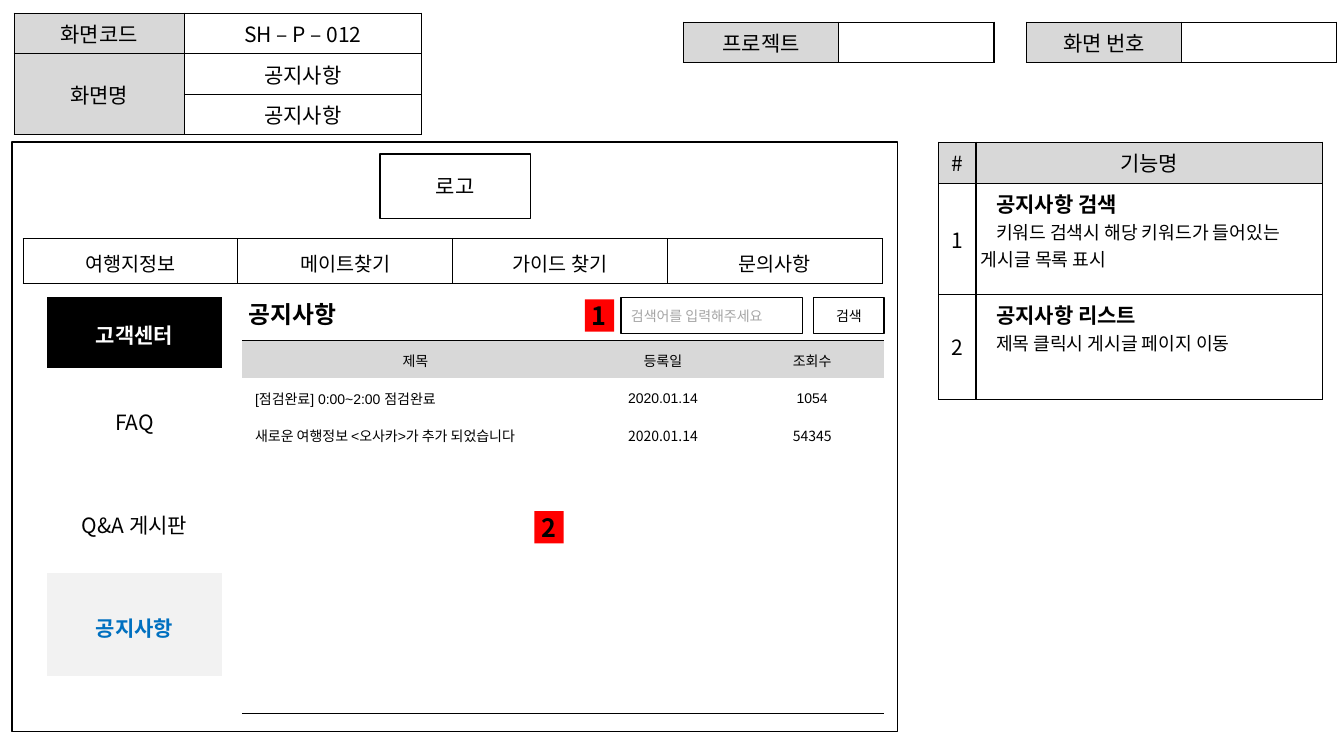
from dataclasses import dataclass

from lxml import etree
from pptx import Presentation
from pptx import util as u
from pptx.dml.color import RGBColor
from pptx.enum import shapes, text
from pptx.oxml.ns import qn


@dataclass(frozen=True)
class Theme:
    font: str = "Noto Sans CJK KR"
    latin: str = "Arial"
    ink: str = "000000"
    paper: str = "FFFFFF"
    label: str = "D8D8D8"
    selected: str = "F2F2F2"
    accent: str = "0070C0"
    badge: str = "FF0000"
    hint: str = "A5A5A5"
    small: int = 10
    note: int = 13
    nav: int = 14
    body: int = 15
    title: int = 17
    marker: int = 18


T = Theme()
CENTER, LEFT = text.PP_ALIGN.CENTER, text.PP_ALIGN.LEFT
TOP, MIDDLE = text.MSO_ANCHOR.TOP, text.MSO_ANCHOR.MIDDLE
TIGHT = (0.05, 0.05, 0.05, 0.05)
ROOMY = (0.1, 0.1, 0.1, 0.06)
LISTING = (0.13, 0.1, 0.1, 0.06)


def write(paragraph, words, size=T.body, color=T.ink, bold=False,
          font=T.font, align=CENTER, indent=0):
    """Put one formatted run, or only its format, in a paragraph."""
    paragraph.alignment = align
    if indent:
        paragraph._p.get_or_add_pPr().set("indent", str(u.Inches(indent)))
    if not words:
        paragraph.font.size = u.Pt(size)
        end = etree.SubElement(paragraph._p, qn("a:endParaRPr"))
        end.set("sz", str(size * 100))
        return
    run = paragraph.add_run()
    run.text = words
    run.font.size, run.font.bold, run.font.name = u.Pt(size), bold, font
    run.font.color.rgb = RGBColor.from_string(color)
    east_asian = etree.SubElement(run._r.get_or_add_rPr(), qn("a:ea"))
    east_asian.set("typeface", T.font)


def set_insets(holder, insets):
    (holder.margin_left, holder.margin_top,
     holder.margin_right, holder.margin_bottom) = map(u.Inches, insets)


def set_borders(cell, sides, width):
    """Draw the named sides (L, R, T, B) and clear the others."""
    properties = cell._tc.get_or_add_tcPr()
    for side in "LRTB":
        line = etree.SubElement(properties, qn(f"a:ln{side}"), w=str(u.Pt(width)))
        if side in sides:
            solid = etree.SubElement(line, qn("a:solidFill"))
            etree.SubElement(solid, qn("a:srgbClr"), val=T.ink)
        else:
            etree.SubElement(line, qn("a:noFill"))


def put(cell, words="", fill=None, sides="LRTB", width=1,
        anchor=MIDDLE, insets=TIGHT, **style):
    set_borders(cell, sides, width)
    if fill:
        cell.fill.solid()
        cell.fill.fore_color.rgb = RGBColor.from_string(fill)
    else:
        cell.fill.background()
    cell.vertical_anchor = anchor
    set_insets(cell, insets)
    write(cell.text_frame.paragraphs[0], words, **style)


def add_grid(slide, left, top, widths, heights):
    size = map(u.Inches, (left, top, sum(widths), sum(heights)))
    table = slide.shapes.add_table(len(heights), len(widths), *size).table
    table.first_row = table.horz_banding = False
    for column, width in zip(table.columns, widths):
        column.width = u.Inches(width)
    for row, height in zip(table.rows, heights):
        row.height = u.Inches(height)
    return table


def add_box(slide, left, top, width, height, words="", fill=T.paper,
            outline=True, insets=TIGHT, **style):
    box = slide.shapes.add_shape(shapes.MSO_SHAPE.RECTANGLE,
                                 *map(u.Inches, (left, top, width, height)))
    box.shadow.inherit = False
    box.fill.solid()
    box.fill.fore_color.rgb = RGBColor.from_string(fill)
    if outline:
        box.line.color.rgb = RGBColor.from_string(T.ink)
        box.line.width = u.Pt(1)
    else:
        box.line.fill.background()
    if words:
        frame = box.text_frame
        frame.word_wrap, frame.vertical_anchor = True, MIDDLE
        set_insets(frame, insets)
        write(frame.paragraphs[0], words, **style)


def add_screen_info(slide, left, top):
    info = add_grid(slide, left, top, [1.69, 2.35], [0.3] * 3)
    rows = [("화면코드", "SH – P – 012"), ("화면명", "공지사항"), ("", "공지사항")]
    for r, (label, value) in enumerate(rows):
        put(info.cell(r, 0), label, fill=T.label)
        put(info.cell(r, 1), value, fill=T.paper)
    info.cell(1, 0).merge(info.cell(2, 0))


def add_field(slide, left, top, label):
    field = add_grid(slide, left, top, [1.54] * 2, [0.29])
    put(field.cell(0, 0), label, fill=T.label)
    put(field.cell(0, 1), fill=T.paper)


def add_functions(slide, left, top):
    functions = add_grid(slide, left, top, [0.37, 3.44], [0.41, 1.1, 1.04])
    for c, heading in enumerate(("#", "기능명")):
        put(functions.cell(0, c), heading, fill=T.label)
    details = [("공지사항 검색", "키워드 검색시 해당 키워드가 들어있는 게시글 목록 표시"),
               ("공지사항 리스트", "제목 클릭시 게시글 페이지 이동")]
    for number, (name, detail) in enumerate(details, 1):
        put(functions.cell(number, 0), str(number), fill=T.paper)
        cell = functions.cell(number, 1)
        put(cell, name, fill=T.paper, anchor=TOP, bold=True, align=LEFT, indent=0.15)
        write(cell.text_frame.add_paragraph(), detail,
              size=T.note, align=LEFT, indent=0.15)


def add_navigation(slide, left, top):
    items = ["여행지정보", "메이트찾기", "가이드 찾기", "문의사항"]
    navigation = add_grid(slide, left, top, [2.13] * len(items), [0.42])
    for c, item in enumerate(items):
        put(navigation.cell(0, c), item, width=0.75, anchor=TOP,
            insets=ROOMY, size=T.nav)


def add_sidebar(slide, left, top):
    sidebar = add_grid(slide, left, top, [1.73], [0.7] + [1.02] * 3)
    items = [("고객센터", dict(fill=T.ink, color=T.paper, bold=True)),
             ("FAQ", {}), ("Q&A 게시판", {}),
             ("공지사항", dict(fill=T.selected, color=T.accent, bold=True))]
    for r, (item, look) in enumerate(items):
        put(sidebar.cell(r, 0), item, sides="", insets=ROOMY, **look)


def add_notices(slide, left, top):
    row_count = 10
    notices = add_grid(slide, left, top, [3.41, 1.5, 1.46], [0.37] * row_count)
    entries = [("제목", "등록일", "조회수"),
               ("[점검완료] 0:00~2:00 점검완료", "2020.01.14", "1054"),
               ("새로운 여행정보 <오사카>가 추가 되었습니다", "2020.01.14", "54345")]
    for r in range(row_count):
        entry = entries[r] if r < len(entries) else ("", "", "")
        for c, words in enumerate(entry):
            put(notices.cell(r, c), words, size=T.small, insets=LISTING,
                fill=T.label if r == 0 else None,
                sides={0: "T", row_count - 1: "B"}.get(r, ""),
                anchor=MIDDLE if r == 1 else TOP,
                align=LEFT if r and c == 0 else CENTER,
                font=T.latin if r == 1 or (r, c) == (2, 0) else T.font)


def add_search(slide, left, top):
    heading = slide.shapes.add_textbox(
        *map(u.Inches, (left, top, 1.06, 0.38))).text_frame
    heading.word_wrap = True
    set_insets(heading, TIGHT)
    write(heading.paragraphs[0], "공지사항", size=T.title, bold=True, font=T.latin)
    add_box(slide, left + 3.79, top + 0.03, 1.8, 0.36, "검색어를 입력해주세요",
            insets=(0.1, 0.05, 0.1, 0.05), size=T.small, color=T.hint, align=LEFT)
    add_box(slide, left + 5.7, top + 0.03, 0.7, 0.36, "검색", size=T.small)


def add_mockup(slide, left, top):
    add_box(slide, left, top, 8.78, 5.85)
    add_box(slide, left + 3.65, top + 0.12, 1.49, 0.64, "로고")
    add_navigation(slide, left + 0.11, top + 0.96)
    add_sidebar(slide, left + 0.35, top + 1.54)
    add_notices(slide, left + 2.28, top + 1.97)
    add_search(slide, left + 2.25, top + 1.51)
    # Markers tied to the function list
    for number, x, y in (("1", 5.68, 1.56), ("2", 5.18, 3.66)):
        add_box(slide, left + x, top + y, 0.29, 0.32, number, fill=T.badge,
                outline=False, size=T.marker, bold=True)


def main():
    deck = Presentation()
    deck.slide_width, deck.slide_height = u.Inches(13.33), u.Inches(7.5)
    slide = deck.slides.add_slide(deck.slide_layouts[6])
    # Page header
    add_screen_info(slide, 0.14, 0.13)
    add_field(slide, 6.78, 0.22, "프로젝트")
    add_field(slide, 10.18, 0.22, "화면 번호")
    # Screen and its function list
    add_mockup(slide, 0.12, 1.41)
    add_functions(slide, 9.31, 1.41)
    deck.save("out.pptx")


if __name__ == "__main__":
    main()
